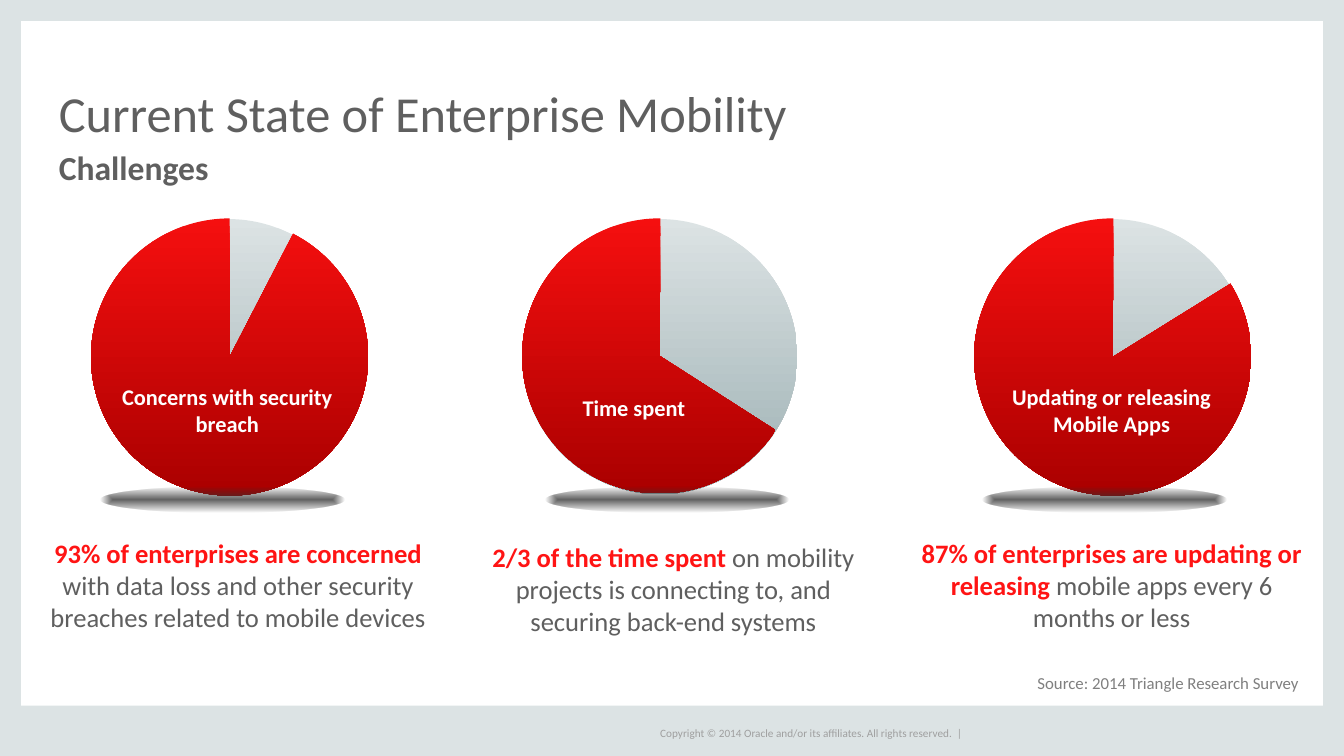
import pptx
import pptx.dml.color
import pptx.enum.shapes
import pptx.enum.text
import pptx.oxml.ns
import pptx.util
from dataclasses import dataclass
from lxml import etree

Pt = pptx.util.Pt
SHAPE = pptx.enum.shapes.MSO_SHAPE
ALIGN = pptx.enum.text.PP_ALIGN
ANCHOR = pptx.enum.text.MSO_ANCHOR
qn = pptx.oxml.ns.qn


@dataclass(frozen=True)
class Theme:
    font: str = "Calibri"
    frame: str = "DCE3E4"
    grey: tuple = ("DCE3E4", "9DB0B3")
    red: tuple = ("F50F0F", "AA0000")
    shade: str = "323232"
    body: str = "5F5F5F"
    accent: str = "FF1414"
    white: str = "FFFFFF"
    source: str = "7F7F7F"
    footer: str = "9F9F9F"
    title_size: int = 36
    subtitle_size: int = 24
    caption_size: int = 19
    label_size: int = 16
    source_size: int = 12
    footer_size: int = 8


class SlideBuilder:
    """Draws the elements of one slide in a shared style."""

    def __init__(self, s, theme):
        self.s = s
        self.theme = theme

    def shape(self, kind, left, top, width, height):
        sp = self.s.shapes.add_shape(kind, Pt(left), Pt(top), Pt(width), Pt(height))
        sp.shadow.inherit = False
        sp.line.fill.background()
        return sp

    def bar(self, *box):
        sp = self.shape(SHAPE.RECTANGLE, *box)
        sp.fill.solid()
        sp.fill.fore_color.rgb = pptx.dml.color.RGBColor.from_string(self.theme.frame)

    def gradient(self, sp, colors):
        sp.fill.gradient()
        sp.fill.gradient_angle = 270
        for stop, color, position in zip(sp.fill.gradient_stops, colors, (0, 1)):
            stop.color.rgb = pptx.dml.color.RGBColor.from_string(color)
            stop.position = position

    def pie(self, left, size, start, end):
        disc = self.shape(SHAPE.OVAL, left, 156.5, 196.5, 196.5)
        self.gradient(disc, self.theme.grey)
        share = self.shape(SHAPE.PIE, left, 156, size, size)
        share.adjustments[0] = start * 0.6
        share.adjustments[1] = end * 0.6
        self.gradient(share, self.theme.red)

    def floor_shadow(self, left):
        sp = self.shape(SHAPE.OVAL, left, 347.8, 174, 18)
        self.gradient(sp, (self.theme.shade, self.theme.shade))
        grad = sp._element.spPr.find(qn("a:gradFill"))
        for color, alpha in zip(grad.iter(qn("a:srgbClr")), ("76000", "0")):
            etree.SubElement(color, qn("a:alpha")).set("val", alpha)
        grad.remove(grad.find(qn("a:lin")))
        radial = etree.SubElement(grad, qn("a:path"))
        radial.set("path", "shape")
        centre = etree.SubElement(radial, qn("a:fillToRect"))
        for side in "ltrb":
            centre.set(side, "50000")

    def text(self, box, parts, size, align=ALIGN.LEFT, inset=(0, 0),
             anchor=ANCHOR.TOP, spacing=None, wrap=True):
        tf = self.s.shapes.add_textbox(*map(Pt, box)).text_frame
        tf.word_wrap = wrap
        tf.vertical_anchor = anchor
        tf.margin_left = tf.margin_right = Pt(inset[0])
        tf.margin_top = tf.margin_bottom = Pt(inset[1])
        p = tf.paragraphs[0]
        p.alignment = align
        if spacing:
            p.line_spacing = spacing
        for words, color, bold in parts:
            r = p.add_run()
            r.text = words
            r.font.name = self.theme.font
            r.font.size = Pt(size)
            r.font.bold = bold
            r.font.color.rgb = pptx.dml.color.RGBColor.from_string(color)

    def label(self, box, words, align, inset):
        self.text(box, [(words, self.theme.white, True)], self.theme.label_size, align, inset)

    def caption(self, left, width, inset, strong, rest):
        parts = [(strong, self.theme.accent, True), (rest, self.theme.body, False)]
        self.text((left, 381.6, width, 76), parts, self.theme.caption_size, ALIGN.CENTER, inset)


def main():
    prs = pptx.Presentation()
    prs.slide_width, prs.slide_height = Pt(960), Pt(540)
    theme = Theme()
    slide = SlideBuilder(prs.slides.add_slide(prs.slide_layouts[6]), theme)

    for box in ((0, 0, 15, 540), (945, 0, 15, 540), (0, 504, 960, 36), (0, 0, 960, 15)):
        slide.bar(*box)
    slide.text((471.6, 516.5, 220, 14.4),
               [("Copyright © 2014 Oracle and/or its affiliates. All rights reserved.  |",
                 theme.footer, False)],
               theme.footer_size, anchor=ANCHOR.MIDDLE, wrap=False)
    slide.text((42, 31.7, 876, 70), [("Current State of Enterprise Mobility", theme.body, False)],
               theme.title_size, anchor=ANCHOR.BOTTOM, spacing=0.8)
    slide.text((42, 108, 876, 27.4), [("Challenges", theme.body, True)],
               theme.subtitle_size, spacing=0.9)

    wide, normal, narrow = (9.5, 5), (7.2, 3.6), (3.6, 1.8)
    challenges = (
        ((65, 198, 297.24, 270), 72,
         ((65.5, 268.5, 193.7, 48), "Concerns with security breach", ALIGN.CENTER, wide),
         (28, 284, narrow, "93% of enterprises are concerned ",
          "with data loss and other security breaches related to mobile devices")),
        ((373, 196.5, 32.68, 270.26), 389.5,
         ((409, 278, 109, 27), "Time spent", ALIGN.LEFT, normal),
         (330, 302, wide, "2/3 of the time spent",
          " on mobility projects is connecting to, and securing back-end systems")),
        ((695.8, 198, 328.12, 270.32), 702,
         ((700.5, 268.5, 187, 48), "Updating or releasing Mobile Apps", ALIGN.CENTER, wide),
         (654, 280, narrow, "87% of enterprises are updating or releasing",
          " mobile apps every 6 months or less")),
    )
    for pie, shadow_left, label, caption in challenges:
        slide.pie(*pie)
        slide.floor_shadow(shadow_left)
        slide.label(*label)
        slide.caption(*caption)

    slide.text((729.4, 475.2, 208, 24.5),
               [("Source: 2014 Triangle Research Survey", theme.source, False)],
               theme.source_size, ALIGN.RIGHT, wide, wrap=False)
    prs.save("out.pptx")


if __name__ == "__main__":
    main()
